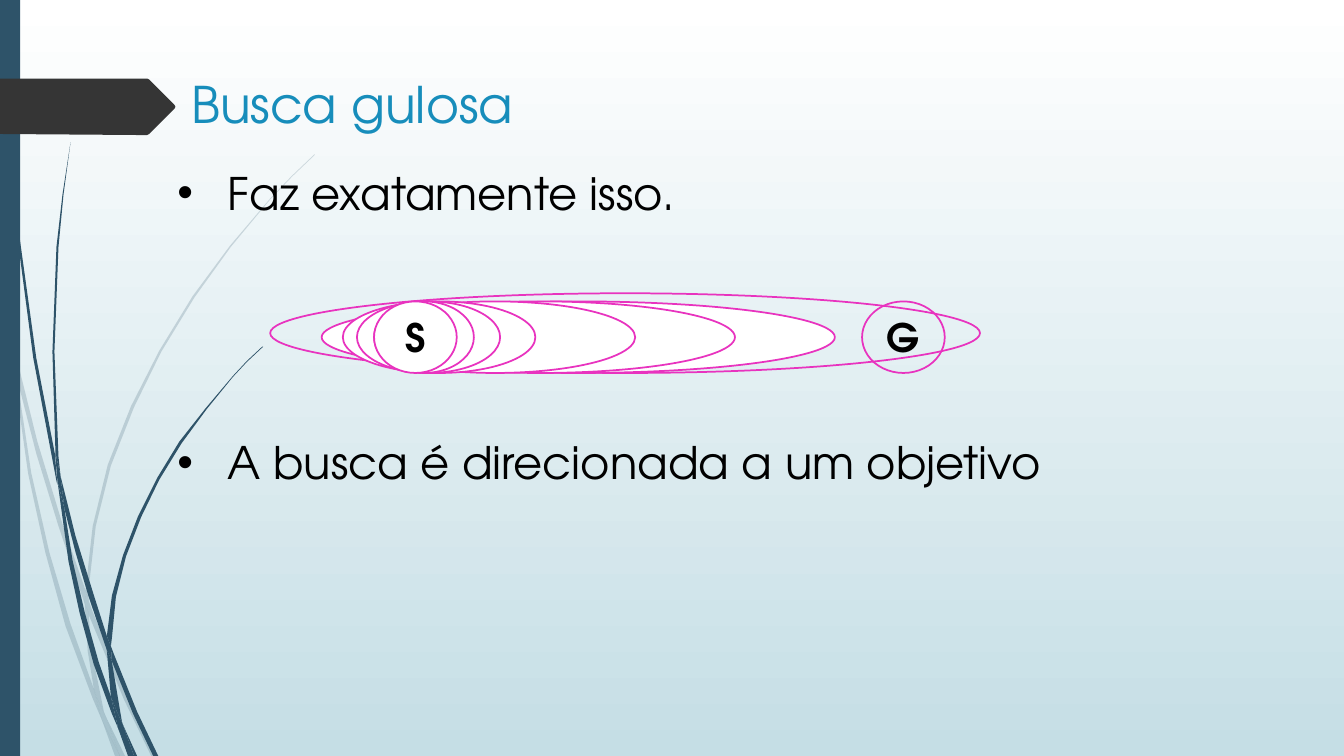
from lxml import etree
from pptx import Presentation
from pptx.dml.color import RGBColor
from pptx.enum.shapes import MSO_SHAPE
from pptx.enum.text import MSO_ANCHOR, PP_ALIGN
from pptx.oxml.ns import qn
from pptx.util import Inches, Pt

ELLIPSE, RECTANGLE = MSO_SHAPE.OVAL, MSO_SHAPE.RECTANGLE
CENTER, MIDDLE = PP_ALIGN.CENTER, MSO_ANCHOR.MIDDLE
FONT = "TeX Gyre Adventor"
COLORS = {
    "sky_top": "FFFFFF", "sky_bottom": "C5DEE5", "stem": "2E5369", "tab": "353535",
    "title": "178DBB", "text": "000000", "frontier": "E833BF", "node": "FFFFFF",
}

# Outline points of the grass blades, in inches
PALE_BLADES = [
    [(.11, 3.5), (.09, 3.22), (0, 2.82), (0, 2.99), (.1, 3.44)],
    [(.58, 5.22), (.84, 5.99), (.85, 5.86), (.62, 5.2), (.37, 4.38), (.14, 3.45),
     (.17, 3.76), (.36, 4.5)],
    [(.92, 6.07), (.88, 5.96), (.88, 6.1), (1.23, 6.94), (1.5, 7.5), (1.55, 7.5),
     (1.27, 6.92)],
    [(1.19, 7.5), (1.24, 7.5), (1.05, 7.11)],
    [(.93, 6.83), (.7, 6.19), (.49, 5.48), (.31, 4.69), (.17, 3.76), (.11, 3.5),
     (.28, 4.7), (.45, 5.48), (.65, 6.21), (.92, 6.93), (1.01, 7.14), (.99, 7.07)],
    [(.84, 5.99), (.87, 6.46), (.93, 6.83), (.96, 6.92), (1.05, 7.11), (1.03, 7.06),
     (.91, 6.46), (.88, 6.1), (.88, 6.08)],
    [(.88, 5.84), (.95, 5.22), (1.1, 4.62), (1.33, 4.04), (1.6, 3.49), (1.93, 2.95),
     (2.29, 2.45), (2.68, 1.98), (2.9, 1.75), (3.12, 1.54), (3.12, 1.53), (2.89, 1.75),
     (2.68, 1.97), (2.28, 2.44), (1.91, 2.94), (1.58, 3.48), (1.3, 4.03), (1.07, 4.61),
     (.92, 5.22), (.85, 5.84), (.85, 5.86), (.88, 5.96)],
    [(1.01, 7.14), (1.14, 7.5), (1.19, 7.5)],
    [(.88, 6.08), (.88, 6.1), (.88, 5.96), (.85, 5.86), (.84, 5.99)],
    [(.96, 6.92), (.93, 6.83), (.99, 7.07), (1.01, 7.14), (1.19, 7.5), (1.05, 7.11)],
]
DARK_BLADES = [
    [(.07, 1.1), (.17, 2.33), (.33, 3.55), (.56, 4.77), (.57, 4.81), (.55, 4.57),
     (.55, 4.53), (.36, 3.55), (.19, 2.32), (.08, 1.09), (.05, .48), (.04, 0), (.03, 0),
     (.04, .48)],
    [(.88, 5.92), (1.06, 6.45), (1.06, 6.31), (.93, 5.9), (.75, 5.32), (.6, 4.72),
     (.64, 5.05), (.75, 5.48)],
    [(1.13, 6.49), (1.1, 6.41), (1.11, 6.56), (1.32, 7.08), (1.52, 7.5), (1.57, 7.5),
     (1.36, 7.06)],
    [(1.1, 6.91), (.98, 6.57), (.84, 6.07), (.72, 5.56), (.64, 5.05), (.57, 4.77),
     (.68, 5.57), (.79, 6.08), (.93, 6.59), (1.11, 7.08), (1.17, 7.22), (1.16, 7.17)],
    [(.6, 4.72), (.58, 4.53), (.54, 3.49), (.58, 2.45), (.63, 1.93), (.7, 1.41),
     (.62, 1.93), (.56, 2.45), (.52, 3.49), (.55, 4.49)],
    [(1.33, 7.5), (1.36, 7.5), (1.22, 7.19)],
    [(.57, 4.77), (.64, 5.05), (.6, 4.72), (.55, 4.49), (.55, 4.53)],
    [(1.11, 6.33), (1.15, 5.92), (1.25, 5.52), (1.4, 5.13), (1.58, 4.76), (1.8, 4.4),
     (2.05, 4.06), (2.31, 3.74), (2.45, 3.59), (2.61, 3.44), (2.6, 3.44), (2.45, 3.58),
     (2.31, 3.73), (2.04, 4.05), (1.78, 4.38), (1.56, 4.74), (1.37, 5.12), (1.22, 5.51),
     (1.11, 5.91), (1.06, 6.31), (1.1, 6.41)],
    [(1.17, 7.22), (1.27, 7.5), (1.31, 7.5)],
    [(1.06, 6.45), (1.1, 6.91), (1.16, 7.06), (1.22, 7.19), (1.21, 7.16), (1.11, 6.56),
     (1.09, 6.51)],
    [(1.06, 6.45), (1.09, 6.51), (1.11, 6.56), (1.1, 6.41), (1.06, 6.31)],
    [(1.16, 7.06), (1.1, 6.91), (1.16, 7.17), (1.17, 7.22), (1.3, 7.5), (1.33, 7.5),
     (1.22, 7.19)],
]
TITLE_TAB = [(1.73, 1.08), (1.48, 1.33), (1.46, 1.34), (1.36, 1.34), (0, 1.33), (0, .78),
             (1.46, .78), (1.48, .79), (1.73, 1.04), (1.74, 1.06)]

NODE_TOP, NODE_WIDTH, NODE_HEIGHT = 2.99, .82, .71
# Left edge and width of each search frontier, widest first
FRONTIERS = [(3.19, 5.09), (3.43, 3.86), (3.52, 2.78), (3.4, 1.91), (3.54, 1.42), (3.71, .99)]


class SlideBuilder:
    """Draws styled elements on one slide."""

    def __init__(self, slide):
        self.slide = slide

    def color(self, name):
        return RGBColor.from_string(COLORS[name])

    def background(self, top, bottom):
        fill = self.slide.background.fill
        fill.gradient()
        fill.gradient_angle = 270
        for stop, name in zip(fill.gradient_stops, (top, bottom)):
            stop.color.rgb = self.color(name)

    def paint(self, shape, fill=None, line=None):
        shape.shadow.inherit = False
        if fill:
            shape.fill.solid()
            shape.fill.fore_color.rgb = self.color(fill)
        else:
            shape.fill.background()
        if line:
            shape.line.color.rgb = self.color(line)
            shape.line.width = Pt(1.25)
        else:
            shape.line.fill.background()

    def shape(self, kind, left, top, width, height, fill=None, line=None):
        shape = self.slide.shapes.add_shape(
            kind, Inches(left), Inches(top), Inches(width), Inches(height))
        self.paint(shape, fill, line)
        return shape

    def outline(self, points, fill, opacity=100):
        corners = [(Inches(x), Inches(y)) for x, y in points]
        builder = self.slide.shapes.build_freeform(*corners[0])
        builder.add_line_segments(corners[1:])
        shape = builder.convert_to_shape()
        self.paint(shape, fill)
        if opacity < 100:
            color = shape._element.spPr.find(qn("a:solidFill")).find(qn("a:srgbClr"))
            etree.SubElement(color, qn("a:alpha"), val=str(opacity * 1000))

    def format_text(self, paragraph, size, color, bold=False):
        for run in paragraph.runs:
            run.font.name = FONT
            run.font.size = Pt(size)
            run.font.bold = bold
            run.font.color.rgb = self.color(color)

    def text_box(self, left, top, width, height, lines, size, color):
        box = self.slide.shapes.add_textbox(
            Inches(left), Inches(top), Inches(width), Inches(height))
        box.text_frame.word_wrap = True
        box.text_frame.text = "\n".join(lines)
        for paragraph in box.text_frame.paragraphs:
            self.format_text(paragraph, size, color)
        return box.text_frame.paragraphs

    def bullet(self, paragraph):
        properties = paragraph._p.get_or_add_pPr()
        properties.set("marL", str(Inches(.5)))
        properties.set("indent", str(-Inches(.5)))
        etree.SubElement(properties, qn("a:buFont"), typeface="Arial")
        etree.SubElement(properties, qn("a:buChar"), char="•")

    def node(self, left, label, fill=None):
        shape = self.shape(ELLIPSE, left, NODE_TOP, NODE_WIDTH, NODE_HEIGHT, fill, "frontier")
        frame = shape.text_frame
        frame.text = label
        frame.vertical_anchor = MIDDLE
        frame.paragraphs[0].alignment = CENTER
        self.format_text(frame.paragraphs[0], 28, "text", bold=True)


def main():
    presentation = Presentation()
    presentation.slide_width = Inches(13.33)
    presentation.slide_height = Inches(7.5)
    builder = SlideBuilder(presentation.slides.add_slide(presentation.slide_layouts[6]))

    builder.background("sky_top", "sky_bottom")
    for blade in PALE_BLADES:
        builder.outline(blade, "stem", opacity=20)
    for blade in DARK_BLADES:
        builder.outline(blade, "stem")
    builder.shape(RECTANGLE, 0, 0, .2, 7.5, "stem")
    builder.outline(TITLE_TAB, "tab")

    builder.shape(ELLIPSE, 2.68, 2.91, 7.04, .79, line="frontier")
    for left, width in FRONTIERS:
        builder.shape(ELLIPSE, left, NODE_TOP, width, NODE_HEIGHT, "node", "frontier")

    builder.text_box(1.66, .68, 11.51, 1.4, [" Busca gulosa"], 36, "title")
    points = builder.text_box(
        1.66, 1.59, 11.49, 3.33,
        ["Faz exatamente isso.", "A busca é direcionada a um objetivo"], 32, "text")
    points[1].space_before = Pt(154)
    for paragraph in points:
        builder.bullet(paragraph)

    builder.node(3.71, "S", "node")
    builder.node(8.55, "G")
    presentation.save("out.pptx")


if __name__ == "__main__":
    main()
